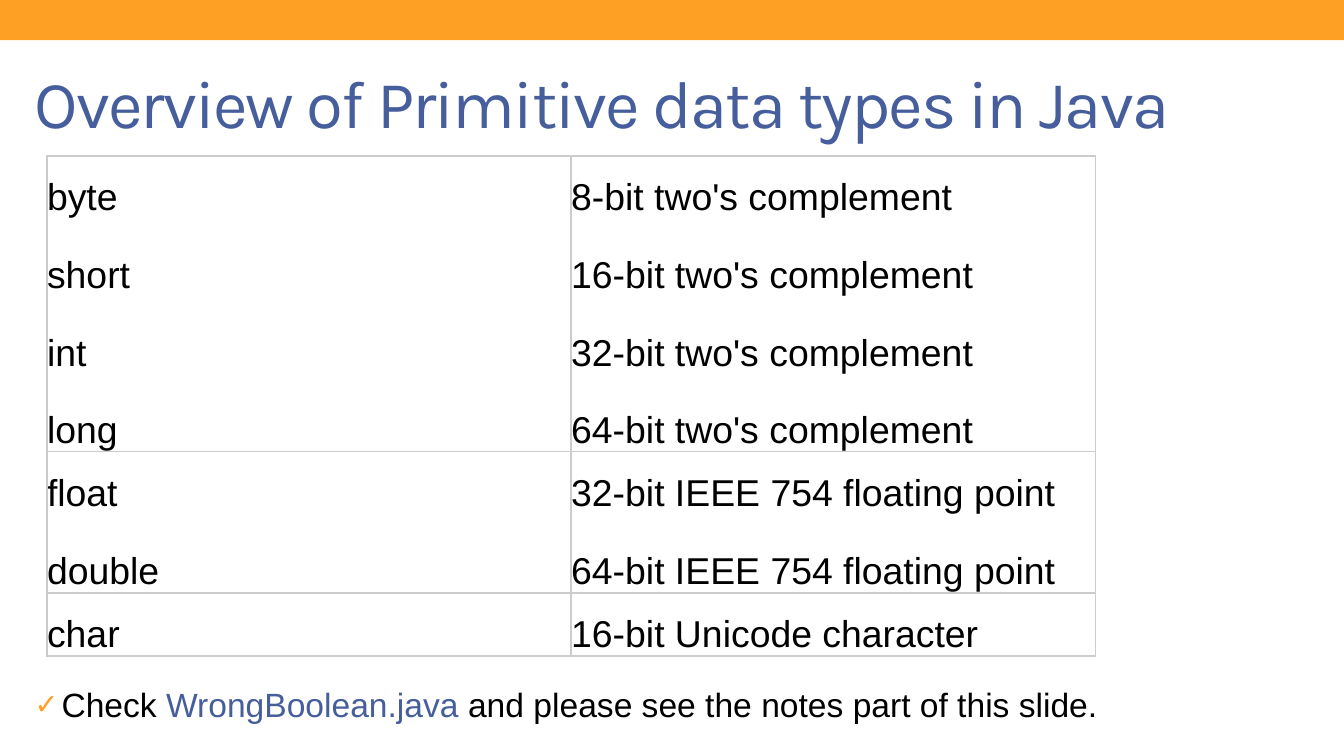
from dataclasses import dataclass

from lxml.etree import SubElement
from pptx import Presentation
from pptx.dml.color import RGBColor
from pptx.enum.shapes import MSO_SHAPE
from pptx.enum.text import MSO_ANCHOR
from pptx.oxml import parse_xml
from pptx.oxml.ns import nsdecls, qn
from pptx.util import Inches, Pt

ORANGE, BLUE, BLACK, GREY = "FDA023", "465E9C", "000000", "CCCCCC"
TITLE_FONT = {"name": "Karla", "size": Pt(36)}
CELL_FONT = {"name": "Arial", "size": Pt(20)}
NOTE_FONT = {"name": "Arial", "size": Pt(18)}
LINE_PITCH = 16.8
PARAGRAPH_GAP = 8


@dataclass
class TypeGroup:
    height: float
    types: dict[str, str]


TYPE_GROUPS = [
    TypeGroup(2.2, {
        "byte": "8-bit two's complement",
        "short": "16-bit two's complement",
        "int": "32-bit two's complement",
        "long": "64-bit two's complement",
    }),
    TypeGroup(1.05, {
        "float": "32-bit IEEE 754 floating point",
        "double": "64-bit IEEE 754 floating point",
    }),
    TypeGroup(0.47, {"char": "16-bit Unicode character"}),
]


def rgb(value: str) -> RGBColor:
    return RGBColor.from_string(value)


def add_run(paragraph, text: str, formats: dict, color: str):
    run = paragraph.add_run()
    run.text = text
    for attribute, value in formats.items():
        setattr(run.font, attribute, value)
    run.font.color.rgb = rgb(color)
    return run


def add_text_frame(slide, left: float, top: float, width: float, height: float):
    box = slide.shapes.add_textbox(
        Inches(left), Inches(top), Inches(width), Inches(height))
    box.text_frame.word_wrap = True
    return box.text_frame


def add_band(slide) -> None:
    band = slide.shapes.add_shape(
        MSO_SHAPE.RECTANGLE, 0, 0, Inches(10), Inches(0.3))
    band.shadow.inherit = False
    band.fill.solid()
    band.fill.fore_color.rgb = rgb(ORANGE)
    band.line.fill.background()


def add_title(slide) -> None:
    frame = add_text_frame(slide, 0.16, 0.35, 9, 0.81)
    frame.vertical_anchor = MSO_ANCHOR.MIDDLE
    title = add_run(frame.paragraphs[0], "Overview of Primitive data types in Java",
                    TITLE_FONT, BLUE)
    title.font._element.set("spc", "-100")


def add_borders(cell) -> None:
    properties = cell._tc.get_or_add_tcPr()
    for position, side in enumerate(("lnL", "lnR", "lnT", "lnB")):
        properties.insert(position, parse_xml(
            f'<a:{side} {nsdecls("a")} w="{Pt(1)}"><a:solidFill>'
            f'<a:srgbClr val="{GREY}"/></a:solidFill></a:{side}>'))


def fill_cell(cell, lines: list[str]) -> None:
    """Write one paragraph per line, each with a line's height free above it."""
    cell.fill.background()
    add_borders(cell)
    cell.margin_left = cell.margin_right = cell.margin_bottom = 0
    cell.margin_top = Pt(LINE_PITCH)
    frame = cell.text_frame
    for index, line in enumerate(lines):
        paragraph = frame.add_paragraph() if index else frame.paragraphs[0]
        paragraph.line_spacing = Pt(LINE_PITCH)
        if index:
            paragraph.space_before = Pt(LINE_PITCH + PARAGRAPH_GAP)
        add_run(paragraph, line, CELL_FONT, BLACK)


def add_type_table(slide, groups: list[TypeGroup]) -> None:
    height = sum(group.height for group in groups)
    table = slide.shapes.add_table(
        len(groups), 2, Inches(0.35), Inches(1.16), Inches(7.8), Inches(height)).table
    table.first_row = table.horz_banding = False
    for row, group in zip(table.rows, groups):
        row.height = Inches(group.height)
        fill_cell(row.cells[0], list(group.types))
        fill_cell(row.cells[1], list(group.types.values()))


def add_check_bullet(paragraph) -> None:
    properties = paragraph._p.get_or_add_pPr()
    properties.set("marL", str(Inches(0.2)))
    properties.set("indent", str(-Inches(0.2)))
    color = SubElement(properties, qn("a:buClr"))
    SubElement(color, qn("a:srgbClr"), val=ORANGE)
    SubElement(properties, qn("a:buSzPct"), val="85000")
    SubElement(properties, qn("a:buFont"), typeface="Arial")
    SubElement(properties, qn("a:buChar"), char="✓")


def add_note(slide) -> None:
    note = add_text_frame(slide, 0.16, 5.04, 9.3, 0.4).paragraphs[0]
    add_check_bullet(note)
    for text, color in (
        ("Check ", BLACK),
        ("WrongBoolean.java", BLUE),
        (" and please see the notes part of this slide.", BLACK),
    ):
        add_run(note, text, NOTE_FONT, color)


def main() -> None:
    presentation = Presentation()
    presentation.slide_width = Inches(10)
    presentation.slide_height = Inches(10 * 9 / 16)
    slide = presentation.slides.add_slide(presentation.slide_layouts[6])
    add_band(slide)
    add_title(slide)
    add_note(slide)
    add_type_table(slide, TYPE_GROUPS)
    presentation.save("out.pptx")


if __name__ == "__main__":
    main()
